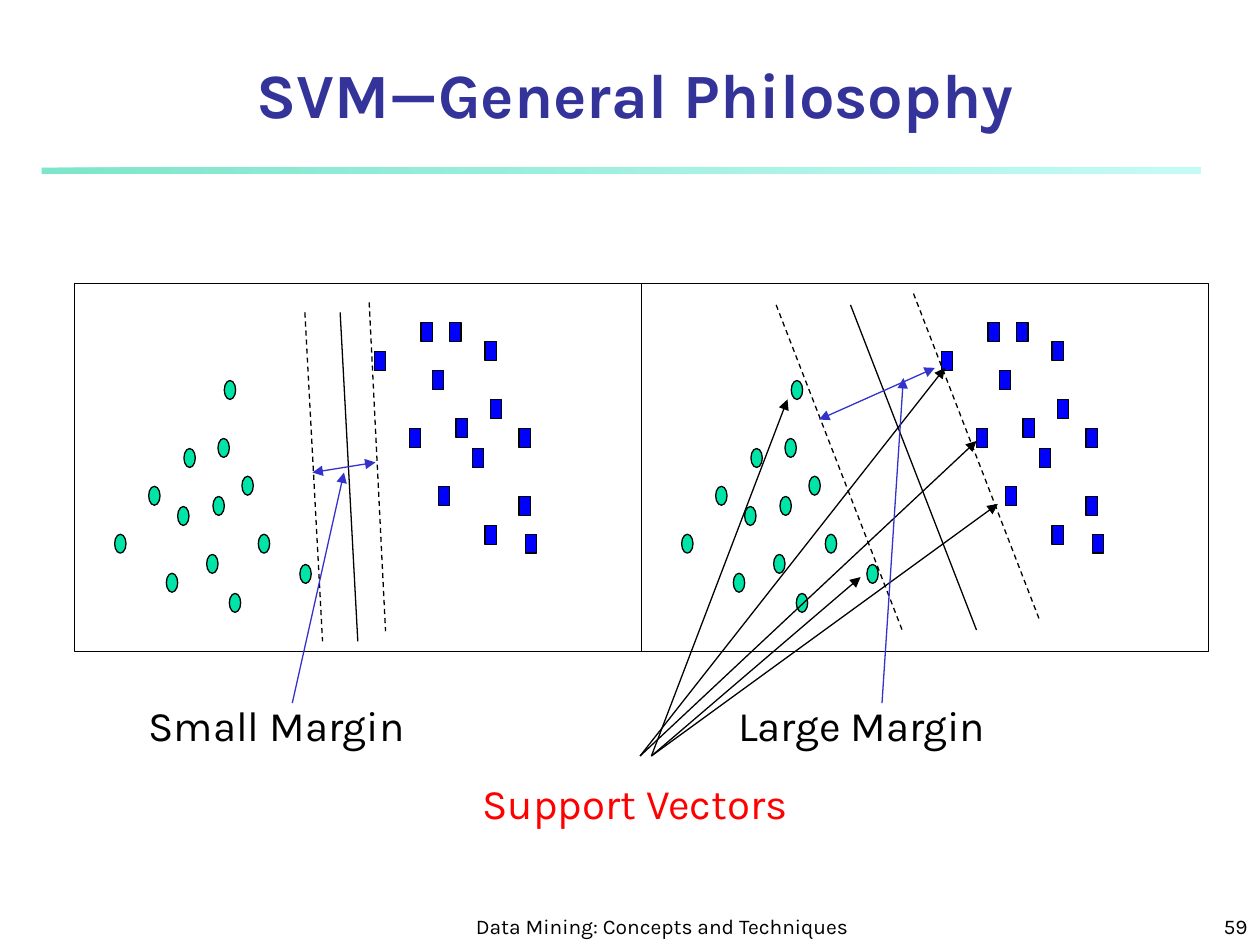
from lxml import etree
from pptx import Presentation
from pptx.dml.color import RGBColor
from pptx.enum.dml import MSO_LINE
from pptx.enum.shapes import MSO_CONNECTOR, MSO_SHAPE
from pptx.enum.text import MSO_ANCHOR, MSO_AUTO_SIZE, PP_ALIGN
from pptx.oxml.ns import qn
from pptx.util import Inches, Pt

OVAL, RECT = MSO_SHAPE.OVAL, MSO_SHAPE.RECTANGLE
STRAIGHT, DASH = MSO_CONNECTOR.STRAIGHT, MSO_LINE.DASH
TOP, BOTTOM = MSO_ANCHOR.TOP, MSO_ANCHOR.BOTTOM
LEFT, CENTER, RIGHT = PP_ALIGN.LEFT, PP_ALIGN.CENTER, PP_ALIGN.RIGHT
GROW = MSO_AUTO_SIZE.SHAPE_TO_FIT_TEXT

BLACK = RGBColor(0x00, 0x00, 0x00)
RED = RGBColor(0xFF, 0x00, 0x00)
BLUE = RGBColor(0x00, 0x00, 0xFF)
GREEN = RGBColor(0x00, 0xE4, 0xA8)
INDIGO = RGBColor(0x33, 0x33, 0x99)
ARROW_BLUE = RGBColor(0x33, 0x33, 0xCC)
RULE_START = RGBColor(0x00, 0xCE, 0x98)
RULE_END = RGBColor(0x8F, 0xF9, 0xEF)

FONT = "Karla"
LINE_WIDTH = Pt(0.75)
PANEL_X, PANEL_Y, PANEL_W, PANEL_H = 0.59, 2.25, 4.5, 2.92
MARK_W, MARK_H = 0.09, 0.15

CIRCLES = [
    (0.73, 2.30), (0.82, 1.77), (0.32, 1.99), (0.59, 1.61), (1.05, 2.15),
    (0.87, 1.31), (1.10, 1.69), (1.14, 1.23), (1.33, 1.53), (1.46, 1.99),
    (1.23, 2.46), (1.79, 2.23), (1.19, 0.77),
]
SQUARES = [
    (2.66, 1.15), (2.38, 0.54), (2.75, 0.31), (2.89, 1.61), (2.84, 0.69),
    (3.03, 1.07), (2.98, 0.31), (3.26, 0.46), (3.16, 1.31), (3.30, 0.92),
    (3.26, 1.92), (3.53, 1.15), (3.53, 1.69), (3.58, 1.99),
]
SMALL_BOUNDARIES = [
    ((2.34, 0.15), (2.47, 2.76), True),
    ((1.83, 0.23), (1.97, 2.84), True),
    ((2.11, 0.23), (2.25, 2.84), False),
]
LARGE_BOUNDARIES = [
    ((1.07, 0.17), (2.07, 2.75), True),
    ((2.16, 0.08), (3.16, 2.67), True),
    ((1.66, 0.17), (2.66, 2.75), False),
]
SUPPORT_ARROWS = [
    ((-0.01, 3.75), (2.41, 0.67)),
    ((-0.01, 3.75), (2.66, 1.25)),
    ((0.08, 3.75), (2.83, 1.75)),
    ((0.08, 3.75), (1.74, 2.33)),
    ((0.08, 3.75), (1.16, 0.92)),
]


def add_box(shapes, kind, x, y, w, h, fill=None):
    sp = shapes.add_shape(kind, Inches(x), Inches(y), Inches(w), Inches(h))
    sp.shadow.inherit = False
    if fill is None:
        sp.fill.background()
    else:
        sp.fill.solid()
        sp.fill.fore_color.rgb = fill
    sp.line.color.rgb = BLACK
    sp.line.width = LINE_WIDTH
    return sp


def add_line(shapes, x, y, start, end, color=BLACK, dashed=False, arrows=()):
    ends = [Inches(v) for v in (x + start[0], y + start[1], x + end[0], y + end[1])]
    line = shapes.add_connector(STRAIGHT, *ends)
    line.line.color.rgb = color
    line.line.width = LINE_WIDTH
    if dashed:
        line.line.dash_style = DASH
    ln = line.line._get_or_add_ln()
    for arrow in arrows:
        etree.SubElement(ln, qn(f"a:{arrow}"), type="triangle")
    etree.SubElement(line._element.spPr, qn("a:effectLst"))


def add_text(shapes, text, x, y, w, h, size, color=BLACK, align=LEFT,
             anchor=TOP, bold=False, wrap=True):
    tb = shapes.add_textbox(Inches(x), Inches(y), Inches(w), Inches(h))
    tf = tb.text_frame
    tf.word_wrap = wrap
    if not wrap:
        tf.auto_size = GROW
    tf.vertical_anchor = anchor
    tf.text = text
    p = tf.paragraphs[0]
    p.alignment = align
    font = p.runs[0].font
    font.name, font.size, font.bold = FONT, Pt(size), bold
    font.color.rgb = color


def add_header(s, x, y, w):
    rule = add_box(s.shapes, RECT, x, y + 0.91, 9.2, 0.05)
    rule.line.fill.background()
    rule.fill.gradient()
    rule.fill.gradient_angle = 0
    for stop, color in zip(rule.fill.gradient_stops, (RULE_START, RULE_END)):
        stop.color.rgb = color
    for clr in rule._element.spPr.iter(qn("a:srgbClr")):
        etree.SubElement(clr, qn("a:alpha"), val="51000")
    add_text(s.shapes, "SVM—General Philosophy", x, y, w, 0.67, 36, INDIGO,
             CENTER, BOTTOM, bold=True)


def add_footer(s, y, h):
    add_text(s.shapes, "Data Mining: Concepts and Techniques", 3.67, y, 3.17, h,
             12, align=CENTER, anchor=BOTTOM)
    add_text(s.shapes, "59", 7.92, y, 2.08, h, 12, align=RIGHT, anchor=BOTTOM)


def add_panel(s, x, y, w, h, boundaries):
    shapes = s.shapes.add_group_shape().shapes
    for kind, color, marks in ((OVAL, GREEN, CIRCLES), (RECT, BLUE, SQUARES)):
        for dx, dy in marks:
            add_box(shapes, kind, x + dx, y + dy, MARK_W, MARK_H, color)
    add_box(shapes, RECT, x, y, w, h)
    for start, end, dashed in boundaries:
        add_line(shapes, x, y, start, end, dashed=dashed)


def add_support_vectors(s, x, y):
    shapes = s.shapes.add_group_shape().shapes
    add_text(shapes, "Support Vectors", x - 1.36, y + 3.87, 2.71, 0.5, 24, RED,
             wrap=False)
    for start, end in SUPPORT_ARROWS:
        add_line(shapes, x, y, start, end, arrows=("tailEnd",))


def add_margin(s, x, y, label, label_x, label_w, span, pointer):
    shapes = s.shapes.add_group_shape().shapes
    add_text(shapes, label, x + label_x, y + 3.25, label_w, 0.5, 24, wrap=False)
    add_line(shapes, x, y, *span, ARROW_BLUE, arrows=("headEnd", "tailEnd"))
    add_line(shapes, x, y, *pointer, ARROW_BLUE, arrows=("tailEnd",))


def main():
    prs = Presentation()
    prs.slide_width, prs.slide_height = Inches(10), Inches(7.5)
    s = prs.slides.add_slide(prs.slide_layouts[6])
    right_x = PANEL_X + PANEL_W
    add_header(s, 0.33, 0.42, 9.42)
    add_footer(s, 7.08, 0.42)
    add_panel(s, PANEL_X, PANEL_Y, PANEL_W, PANEL_H, SMALL_BOUNDARIES)
    add_panel(s, right_x, PANEL_Y, PANEL_W, PANEL_H, LARGE_BOUNDARIES)
    add_support_vectors(s, right_x, PANEL_Y)
    add_margin(s, PANEL_X, PANEL_Y, "Small Margin", 0.49, 2.26,
               ((1.89, 1.5), (2.39, 1.42)), ((1.73, 3.33), (2.14, 1.5)))
    add_margin(s, right_x, PANEL_Y, "Large Margin", 0.67, 2.3,
               ((1.41, 1.08), (2.33, 0.67)), ((1.91, 3.33), (2.08, 0.75)))
    prs.save("out.pptx")


if __name__ == "__main__":
    main()
